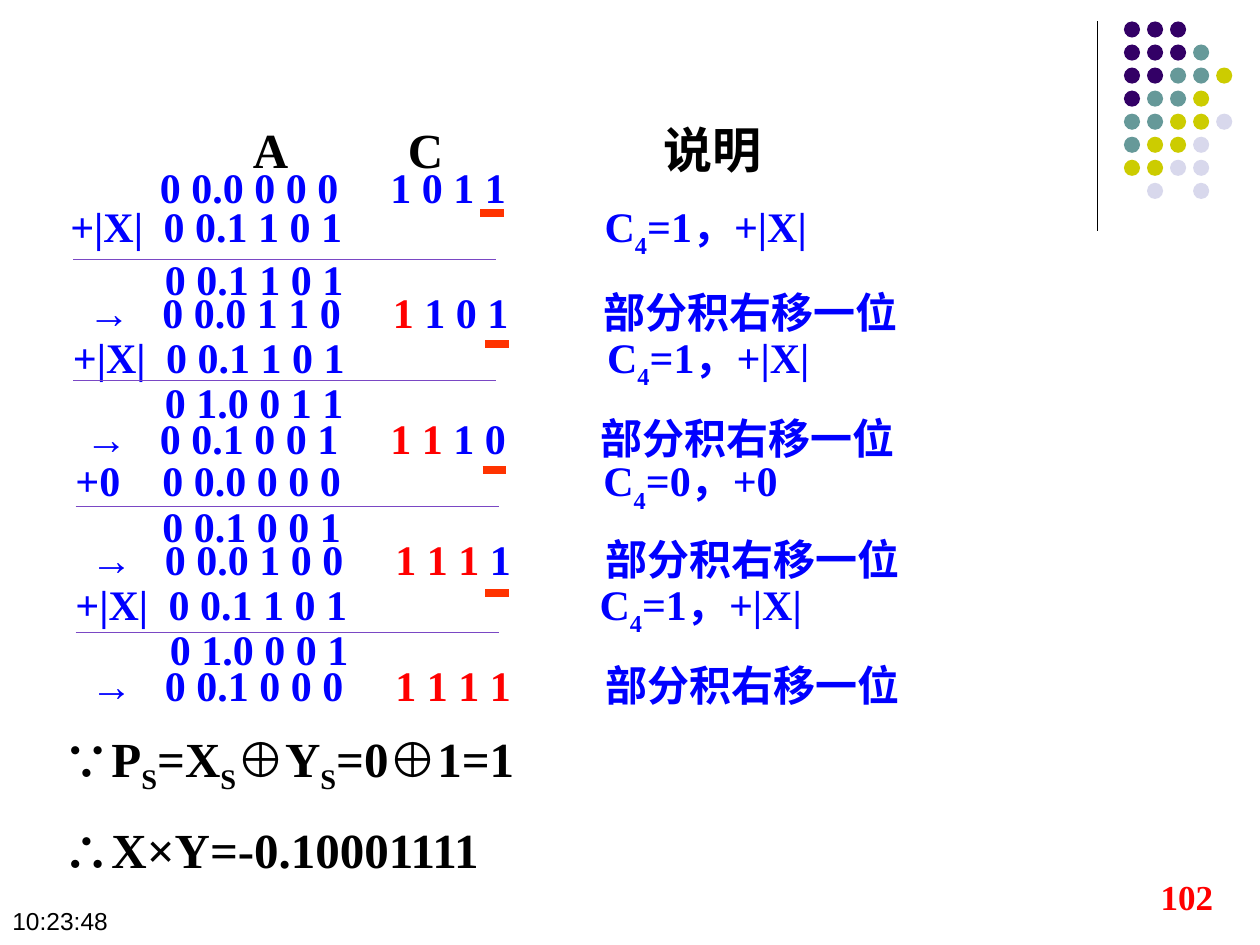
from lxml import etree
from pptx import Presentation
from pptx.dml.color import RGBColor
from pptx.enum.shapes import MSO_CONNECTOR, MSO_SHAPE
from pptx.enum.text import MSO_AUTO_SIZE, PP_ALIGN
from pptx.oxml.ns import qn
from pptx.util import Inches, Pt

BLACK = RGBColor(0x00, 0x00, 0x00)
BLUE = RGBColor(0x00, 0x00, 0xFF)
RED = RGBColor(0xFF, 0x00, 0x00)
ORANGE = RGBColor(0xFF, 0x33, 0x00)
VIOLET = RGBColor(0x7A, 0x48, 0xC4)
PURPLE = RGBColor(0x33, 0x00, 0x66)
TEAL = RGBColor(0x66, 0x99, 0x99)
OLIVE = RGBColor(0xCC, 0xCC, 0x00)
LILAC = RGBColor(0xD8, 0xD8, 0xEC)

LEFT, CENTER, JUSTIFY = PP_ALIGN.LEFT, PP_ALIGN.CENTER, PP_ALIGN.JUSTIFY
STRAIGHT, OVAL = MSO_CONNECTOR.STRAIGHT, MSO_SHAPE.OVAL
GROW, FIXED = MSO_AUTO_SIZE.SHAPE_TO_FIT_TEXT, MSO_AUTO_SIZE.NONE

COLUMNS, ROWS = 100, 75
DOT_COLORS = {"P": PURPLE, "T": TEAL, "O": OLIVE, "L": LILAC}
DOT_ROWS = ("PPP", "PPPT", "PPTTO", "PTTO", "TTOOL", "TOOL", "OOLL", " L L")
DOT_PITCH = 1.83


class Board:
    serif = "Times New Roman"
    sans = "Arial"

    def __init__(self, deck):
        self.slide = deck.slides.add_slide(deck.slide_layouts[6])
        self.column = deck.slide_width / COLUMNS
        self.row = deck.slide_height / ROWS

    def x(self, columns):
        return round(columns * self.column)

    def y(self, rows):
        return round(rows * self.row)

    def line(self, left, top, right, bottom, color, width=0.75):
        line = self.slide.shapes.add_connector(
            STRAIGHT, self.x(left), self.y(top), self.x(right), self.y(bottom))
        line.line.color.rgb = color
        line.line.width = Pt(width)
        etree.SubElement(line._element.spPr, qn("a:effectLst"))

    def dot(self, left, top, color, size=1.28):
        dot = self.slide.shapes.add_shape(
            OVAL, self.x(left), self.y(top), self.x(size), self.y(size))
        dot.shadow.inherit = False
        dot.fill.solid()
        dot.fill.fore_color.rgb = color
        dot.line.fill.background()

    def text(self, left, top, width, height, *paragraphs, size=24, color=BLUE,
             font=serif, bold=True, align=LEFT, tabs=(), spacing=None, fit=GROW):
        box = self.slide.shapes.add_textbox(
            self.x(left), self.y(top), self.x(width), self.y(height))
        frame = box.text_frame
        frame.word_wrap = True
        frame.auto_size = fit
        for index, spans in enumerate(paragraphs):
            para = frame.add_paragraph() if index else frame.paragraphs[0]
            para.alignment = align
            if spacing:
                para.line_spacing = spacing
            if index:
                para.space_before = Pt(size / 2)
            if tabs:
                self.tab_stops(para, tabs)
            para.font.name = font
            para.font.size = Pt(size)
            para.font.bold = bold
            para.font.color.rgb = color
            for span in spans:
                self.span(para, *span)

    def tab_stops(self, para, tabs):
        stops = etree.SubElement(para._p.get_or_add_pPr(), qn("a:tabLst"))
        for tab in tabs:
            etree.SubElement(stops, qn("a:tab"), pos=str(self.x(tab)), algn="l")

    def span(self, para, text, color=None, baseline=None):
        run = para.add_run()
        run.text = text
        if color:
            run.font.color.rgb = color
        if baseline:
            run._r.get_or_add_rPr().set("baseline", str(baseline * 1000))

    def addition(self, left, top, addend, digits, bit, tabs):
        self.text(left, top, 88.5, 5,
                  [(f"{addend}\t{digits}\tC",), ("4", None, -30), (f"={bit}，{addend}",)],
                  tabs=tabs)

    def partial_sum(self, left, top, digits):
        self.text(left, top, 26.2, 5, [(digits,)])

    def shift(self, left, top, digits, moved, kept):
        self.text(left, top, 91.2, 4.6,
                  [(f"→\t{digits}\t",), (moved, RED), (f"{kept}\t部分积右移一位",)],
                  align=JUSTIFY, tabs=(5.9, 24.2, 40.9), spacing=0.9)


def main():
    deck = Presentation()
    deck.slide_width, deck.slide_height = Inches(10), Inches(7.5)
    board = Board(deck)

    board.line(87.1, 1.7, 87.1, 18.3, BLACK)
    for row, pattern in enumerate(DOT_ROWS):
        for column, key in enumerate(pattern):
            if key in DOT_COLORS:
                board.dot(89.2 + column * DOT_PITCH, 1.7 + row * DOT_PITCH, DOT_COLORS[key])

    board.text(3.8, 9, 71.4, 21.7, [("\tA\tC\t说明",)], size=28, color=BLACK,
               align=JUSTIFY, tabs=(15.3, 27.6, 47.9), fit=FIXED)
    board.text(11.7, 12.3, 50.8, 5, [("0 0.0 0 0 0\t1 0 1 1",)], tabs=(18.3,))

    for left, top, addend, digits, bit, tabs in (
            (4.6, 15.4, "+|X|", "0 0.1 1 0 1", 1, (7.4, 42.4)),
            (4.8, 25.8, "+|X|", "0 0.1 1 0 1", 1, (7.4, 42.4)),
            (5, 35.6, "+0", "0 0.0 0 0 0", 0, (6.9, 41.9)),
            (5, 45.4, "+|X|", "0 0.1 1 0 1", 1, (7.4, 41.6))):
        board.addition(left, top, addend, digits, bit, tabs)

    for left, top, digits in (
            (12.1, 19.6, "0 0.1 1 0 1"), (12.1, 29.4, "0 1.0 0 1 1"),
            (11.9, 39.2, "0 0.1 0 0 1"), (12.5, 49, "0 1.0 0 0 1")):
        board.partial_sum(left, top, digits)

    for left, top, digits, moved, kept in (
            (6, 22.7, "0 0.0 1 1 0", "1", " 1 0 1"),
            (5.8, 32.7, "0 0.1 0 0 1", "1 1", " 1 0"),
            (6.2, 42.3, "0 0.0 1 0 0", "1 1 1 ", "1"),
            (6.2, 52.3, "0 0.1 0 0 0", "1 1 1 1", "")):
        board.shift(left, top, digits, moved, kept)

    for left, top in ((5.8, 20.6), (5.8, 30.2), (6, 40.2), (6, 50.2)):
        board.line(left, top, left + 33.6, top, VIOLET)
    for left, top in ((38.1, 16.9), (38.5, 27.3), (38.3, 37.3), (38.5, 47.1)):
        board.line(left, top, left + 1.9, top, ORANGE, 4.5)

    sign = ("S", None, -25)
    board.text(4, 57.3, 63.3, 12.7,
               [("∵P",), sign, ("=X",), sign, ("⊕Y",), sign, ("=0⊕1=1",)],
               [("∴X×Y=-0.10001111",)],
               size=28, color=BLACK, align=JUSTIFY)
    board.text(90.2, 69, 8, 5, [("102",)], size=20, color=RED, align=CENTER, fit=FIXED)
    board.text(0, 71.4, 22.4, 3.4, [("10:23:48",)], size=14, color=BLACK,
               font=Board.sans, bold=False, fit=FIXED)

    deck.save("out.pptx")


if __name__ == "__main__":
    main()
